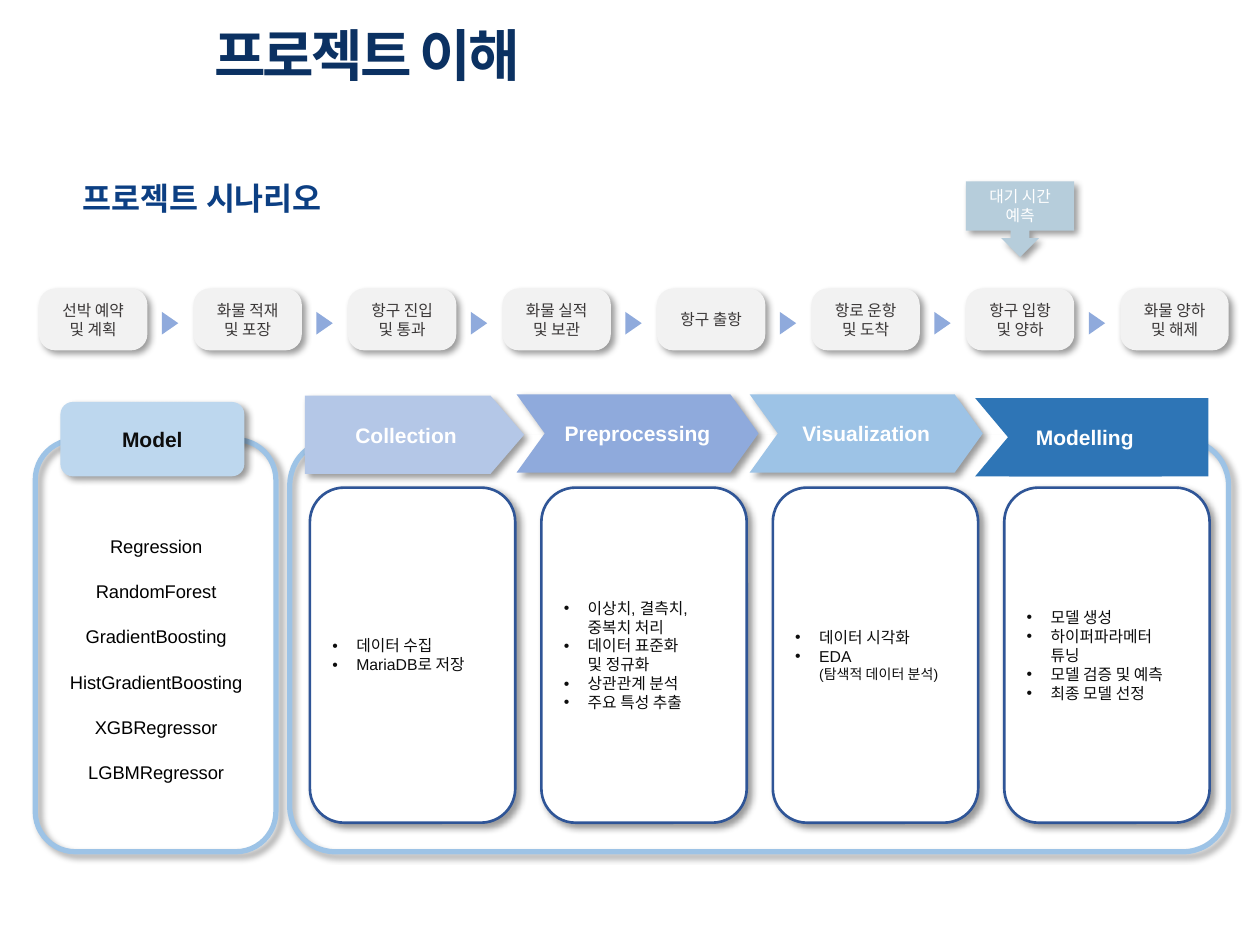
from copy import deepcopy
from dataclasses import dataclass
from pptx import Presentation
from pptx.dml.color import RGBColor
from pptx.enum.shapes import MSO_SHAPE as Kind
from pptx.enum.text import MSO_ANCHOR, MSO_AUTO_SIZE, PP_ALIGN
from pptx.oxml import parse_xml
from pptx.oxml.ns import nsdecls, qn
from pptx.util import Inches, Pt


@dataclass(frozen=True)
class Theme:
    title: str = "0B3162"
    head: str = "0C3F83"
    dark: str = "0D0D0D"
    gray: str = "3B3838"
    black: str = "000000"
    white: str = "FFFFFF"
    step: str = "F2F2F2"
    model: str = "BDD7EE"
    frame: str = "9DC3E6"
    edge: str = "2F5597"
    arrow: str = "8FAADC"
    first: str = "B4C7E7"
    last: str = "2E75B6"
    note: str = "B6CDDB"
    latin: str = "Arial"
    plain: str = "Calibri"
    asian: str = "Noto Sans CJK KR"
    huge: float = 32
    large: float = 18
    label: float = 12
    list: float = 10.5
    body: float = 9
    small: float = 8


T = Theme()
WIDE, HIGH = 10, 7.5
TITLE = "프로젝트 이해"
HEAD = "프로젝트 시나리오"
NOTE = "대기 시간 예측"
STEPS = ["선박 예약 및 계획", "화물 적재 및 포장", "항구 진입 및 통과", "화물 실적 및 보관",
         "항구 출항", "항로 운항 및 도착", "항구 입항 및 양하", "화물 양하 및 해제"]
MODELS = ["Regression", "RandomForest", "GradientBoosting",
          "HistGradientBoosting", "XGBRegressor", "LGBMRegressor"]
CARDS = [
    ["데이터 수집", "MariaDB로 저장"],
    ["이상치, 결측치,\v중복치 처리", "데이터 표준화\v및 정규화", "상관관계 분석", "주요 특성 추출"],
    ["데이터 시각화", "EDA\v(탐색적 데이터 분석)"],
    ["모델 생성", "하이퍼파라메터\v튜닝", "모델 검증 및 예측", "최종 모델 선정"],
]
STAGES = [
    ("Collection", Kind.PENTAGON, (2.42, 3.14, 1.74, 0.62), 0.43, T.first, True),
    ("Preprocessing", Kind.CHEVRON, (4.1, 3.13, 1.92, 0.62), 0.36, T.arrow, True),
    ("Visualization", Kind.CHEVRON, (5.95, 3.13, 1.85, 0.62), 0.36, T.frame, True),
    ("", Kind.CHEVRON, (8.01, 3.16, 1.58, 0.62), 0, T.last, False),
    ("Modelling", Kind.CHEVRON, (7.74, 3.16, 1.74, 0.62), 0.42, T.last, False),
]
LEFT, PITCH, STEP = 0.31, 1.226, 0.86
CARD, GAP = 1.63, 1.837

deck = Presentation()
deck.slide_width, deck.slide_height = Inches(WIDE), Inches(HIGH)
slide = deck.slides.add_slide(deck.slide_layouts[6])


def shade(shape):
    shape._element.spPr.append(parse_xml(
        f'<a:effectLst {nsdecls("a")}><a:outerShdw blurRad="{Pt(4)}" dist="{Pt(3)}" '
        'dir="2700000" algn="tl" rotWithShape="0"><a:srgbClr val="000000">'
        '<a:alpha val="40000"/></a:srgbClr></a:outerShdw></a:effectLst>'))


def style(run, size, color, bold=False, face=T.latin):
    font = run.font
    font.size, font.bold, font.name = Pt(size), bold, face
    font.color.rgb = RGBColor.from_string(color)
    run._r.rPr.append(parse_xml(f'<a:ea {nsdecls("a")} typeface="{T.asian}"/>'))


def write(shape, lines, size, color, bold=False, face=T.latin, align=PP_ALIGN.CENTER):
    frame = shape.text_frame
    frame.word_wrap = True
    frame.text = "\n".join(lines)
    for para in frame.paragraphs:
        para.alignment = align
        for run in para.runs:
            style(run, size, color, bold, face)
        for gap in para._p.findall(qn("a:br")):
            gap.append(deepcopy(para.runs[0]._r.rPr))
    return frame


def draw(kind, box, fill=None, line=None, width=0, adj=None, glow=True):
    shape = slide.shapes.add_shape(kind, *map(Inches, box))
    if fill:
        shape.fill.solid()
        shape.fill.fore_color.rgb = RGBColor.from_string(fill)
    else:
        shape.fill.background()
    if line:
        shape.line.color.rgb = RGBColor.from_string(line)
        shape.line.width = Pt(width)
    else:
        shape.line.fill.background()
    if adj is not None:
        shape.adjustments[0] = adj
    if glow:
        shade(shape)
    else:
        shape.shadow.inherit = False
    shape.text_frame.vertical_anchor = MSO_ANCHOR.MIDDLE
    return shape


def label(box, lines, *look, **more):
    return write(slide.shapes.add_textbox(*map(Inches, box)), lines, *look, **more)


def bullet(para):
    props = para._p.get_or_add_pPr()
    props.set("marL", str(Inches(0.19)))
    props.set("indent", str(-Inches(0.19)))
    props.append(parse_xml(f'<a:buFont {nsdecls("a")} typeface="Arial"/>'))
    props.append(parse_xml(f'<a:buChar {nsdecls("a")} char="•"/>'))


title = label((1.6, 0.11, 6.52, 0.7), [TITLE], T.huge, T.title, True, align=PP_ALIGN.LEFT)
title.vertical_anchor = MSO_ANCHOR.MIDDLE
title.paragraphs[0].line_spacing = 0.9
title.paragraphs[0].runs[0]._r.rPr.set("spc", "-150")

for col, text in enumerate(STEPS):
    left = LEFT + col * PITCH
    step = draw(Kind.ROUNDED_RECTANGLE, (left, 2.29, STEP, 0.49), T.step, adj=0.26)
    write(step, [text], T.body, T.gray)
    if col < len(STEPS) - 1:
        tip = draw(Kind.FLOWCHART_EXTRACT, (left + 0.95, 2.5, 0.18, 0.13), T.arrow, glow=False)
        tip.rotation = 90

draw(Kind.ROUNDED_RECTANGLE, (0.28, 3.49, 1.91, 3.27), line=T.frame, width=3)
model = draw(Kind.ROUNDED_RECTANGLE, (0.48, 3.19, 1.46, 0.59), T.model)
write(model, ["Model"], T.label, T.dark, True)
names = label((0.24, 4.2, 2, 2.4), MODELS, T.list, T.black)
for para in names.paragraphs[1:]:
    para.space_before = Pt(13.2)

draw(Kind.ROUNDED_RECTANGLE, (2.3, 3.49, 7.45, 3.27), line=T.frame, width=3, adj=0.11)
draw(Kind.RECTANGLE, (2.42, 3.45, 7.12, 0.15), T.white, glow=False)
for text, kind, box, adj, fill, glow in STAGES:
    stage = draw(kind, box, fill, adj=adj, glow=glow)
    if text:
        write(stage, [text], T.label, T.white, True)

for col, lines in enumerate(CARDS):
    box = (2.46 + col * GAP, 3.87, CARD, 2.66)
    card = draw(Kind.ROUNDED_RECTANGLE, box, T.white, T.edge, 1.5)
    frame = write(card, lines, T.body, T.dark, align=PP_ALIGN.LEFT)
    for para in frame.paragraphs:
        bullet(para)
        if para.text.startswith("EDA"):
            para.runs[1].font.size = Pt(T.small)

head = label((0.56, 1.37, 3.81, 0.4), [HEAD], T.large, T.head, True, T.asian, PP_ALIGN.LEFT)
head.auto_size = MSO_AUTO_SIZE.SHAPE_TO_FIT_TEXT
note = draw(Kind.DOWN_ARROW_CALLOUT, (LEFT + 6 * PITCH, 1.44, STEP, 0.6), T.note)
write(note, [NOTE], T.body, T.white, face=T.plain)

deck.save("out.pptx")
